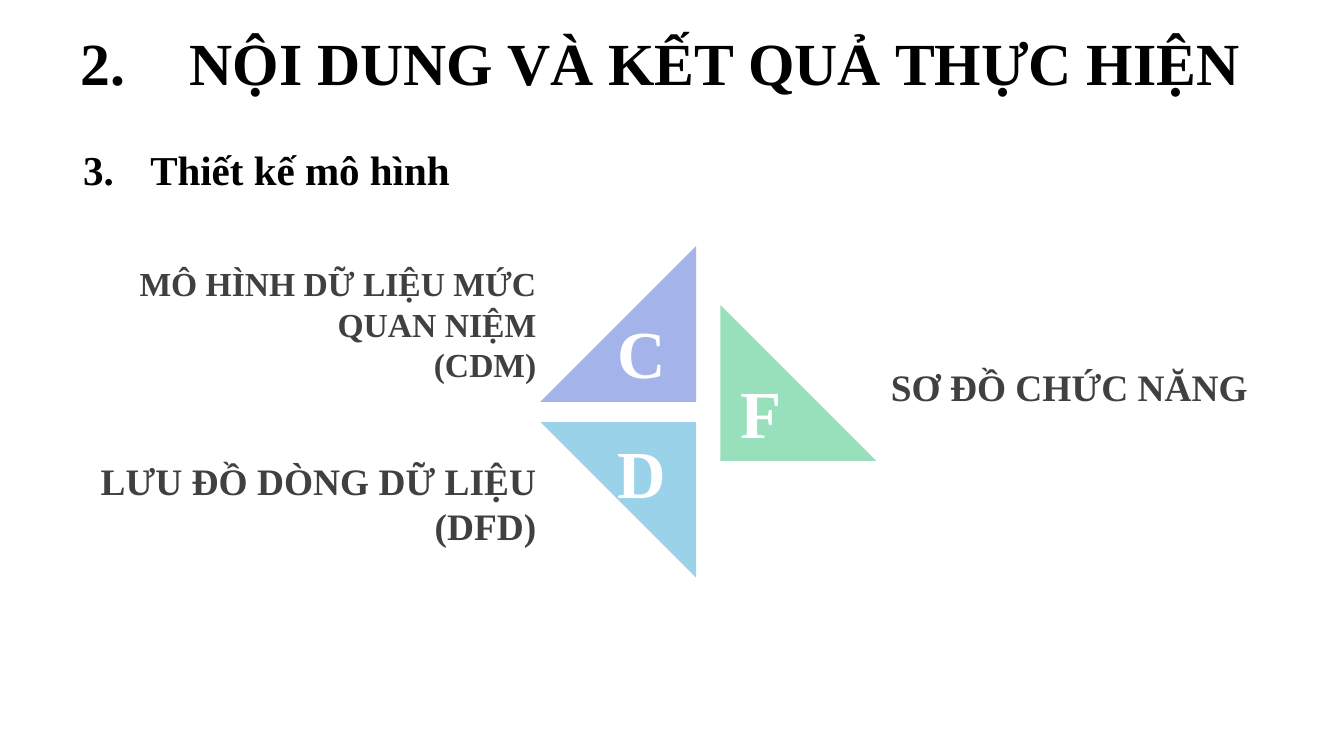
from dataclasses import dataclass

from lxml.etree import SubElement
from pptx import Presentation
from pptx.dml.color import RGBColor
from pptx.enum.shapes import MSO_SHAPE
from pptx.enum.text import MSO_ANCHOR, MSO_AUTO_SIZE, PP_ALIGN
from pptx.oxml.ns import qn
from pptx.util import Inches, Pt


@dataclass(frozen=True)
class Theme:
    font: str = "Times New Roman"
    heading: str = "000000"
    label: str = "404040"
    letter: str = "FFFFFF"
    concept: str = "A4B4EA"
    data_flow: str = "9AD3E9"
    function: str = "98DFBB"
    title_size: int = 32
    subtitle_size: int = 22
    label_size: int = 20
    small_label_size: int = 18
    letter_size: int = 36


THEME = Theme()


def write(frame, lines, size, color, align=PP_ALIGN.LEFT, anchor=MSO_ANCHOR.TOP):
    frame.word_wrap = True
    frame.auto_size = MSO_AUTO_SIZE.NONE
    frame.vertical_anchor = anchor
    frame.text = "\n".join(lines)
    for paragraph in frame.paragraphs:
        paragraph.alignment = align
        paragraph.font.name = THEME.font
        paragraph.font.size = Pt(size)
        paragraph.font.bold = True
        paragraph.font.color.rgb = RGBColor.from_string(color)


def add_text(slide, box, lines, size, color, **layout):
    textbox = slide.shapes.add_textbox(*map(Inches, box))
    write(textbox.text_frame, lines, size, color, **layout)
    return textbox


def number(paragraph, start, margin, hanging):
    paragraph.space_before = Pt(round(paragraph.font.size.pt * 0.2, 1))
    properties = paragraph._p.get_or_add_pPr()
    properties.set("marL", str(Inches(margin)))
    properties.set("indent", str(-Inches(hanging)))
    numbering = SubElement(properties, qn("a:buAutoNum"))
    numbering.set("type", "arabicPeriod")
    numbering.set("startAt", str(start))
    properties.append(properties.find(qn("a:defRPr")))


def add_headings(slide, left, top, width):
    title = slide.shapes.title
    title.left, title.top = Inches(left), Inches(top)
    title.width, title.height = Inches(width), Inches(0.63)
    write(title.text_frame, ["NỘI DUNG VÀ KẾT QUẢ THỰC HIỆN"],
          THEME.title_size, THEME.heading, anchor=MSO_ANCHOR.MIDDLE)
    number(title.text_frame.paragraphs[0], 2, 1.31, 0.81)

    subtitle = add_text(slide, (left + 0.52, top + 0.84, 3.86, 0.55), ["Thiết kế mô hình"],
                        THEME.subtitle_size, THEME.heading, anchor=MSO_ANCHOR.MIDDLE)
    number(subtitle.text_frame.paragraphs[0], 3, 0.5, 0.5)


def add_model_triangle(slide, left, top, side, rotation, color, letter):
    triangle = slide.shapes.add_shape(
        MSO_SHAPE.RIGHT_TRIANGLE, *map(Inches, (left, top, side, side)))
    triangle.rotation = rotation
    triangle.shadow.inherit = False
    triangle.fill.solid()
    triangle.fill.fore_color.rgb = RGBColor.from_string(color)
    triangle.line.fill.background()

    letter_width, letter_height = 0.61, 0.71
    letter_left = left if rotation == 0 else left + side - letter_width - 0.1
    letter_top = top + 0.02 if rotation == 180 else top + side - letter_height - 0.01
    add_text(slide, (letter_left, letter_top, letter_width, letter_height), [letter],
             THEME.letter_size, THEME.letter, align=PP_ALIGN.CENTER)


def add_model_diagram(slide, left, top):
    side = 1.16
    center = left + 3.41
    right = center + side + 0.18
    add_model_triangle(slide, right, top + 0.44, side, 0, THEME.function, "F")
    add_model_triangle(slide, center, top + side + 0.15, side, 180, THEME.data_flow, "D")
    add_model_triangle(slide, center, top, side, 270, THEME.concept, "C")

    labels_right = center + 0.07
    add_text(slide, (labels_right - 3.4, top + 0.08, 3.4, 1.01),
             ["MÔ HÌNH DỮ LIỆU MỨC QUAN NIỆM", "(CDM)"],
             THEME.small_label_size, THEME.label, align=PP_ALIGN.RIGHT)
    add_text(slide, (labels_right - 3.48, top + 1.53, 3.48, 0.77),
             ["LƯU ĐỒ DÒNG DỮ LIỆU (DFD)"],
             THEME.label_size, THEME.label, align=PP_ALIGN.RIGHT)
    add_text(slide, (right + side + 0.01, top + 0.83, 2.99, 0.44), ["SƠ ĐỒ CHỨC NĂNG"],
             THEME.label_size, THEME.label)


def main():
    presentation = Presentation()
    slide_width = 10
    presentation.slide_width = Inches(slide_width)
    presentation.slide_height = Inches(slide_width * 9 / 16)
    slide = presentation.slides.add_slide(presentation.slide_layouts[5])
    add_headings(slide, 0, 0.14, slide_width)
    add_model_diagram(slide, 0.61, 1.83)
    presentation.save("out.pptx")


if __name__ == "__main__":
    main()
